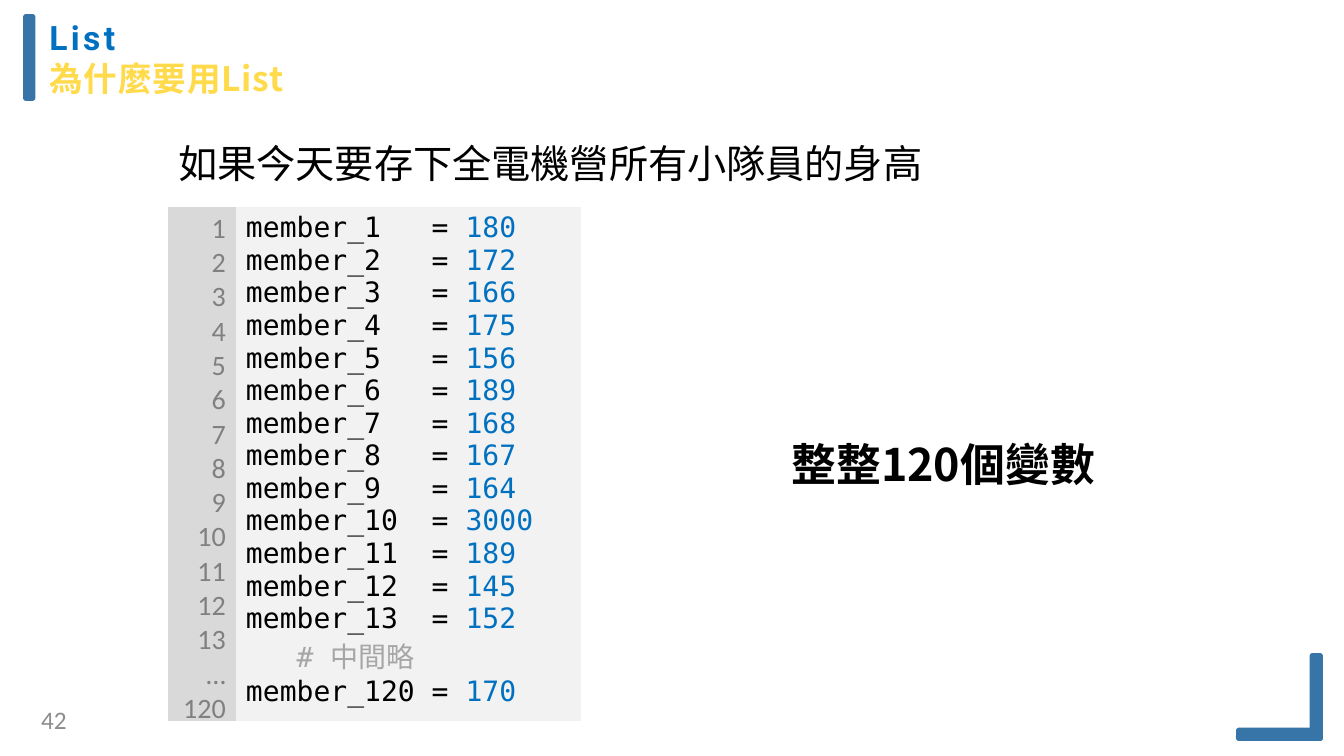
import pptx
import pptx.util
import pptx.dml.color
import pptx.enum.shapes
import pptx.enum.text
import pptx.oxml.ns
from dataclasses import dataclass
from lxml import etree

Inches = pptx.util.Inches
Pt = pptx.util.Pt
qn = pptx.oxml.ns.qn
Align = pptx.enum.text.PP_ALIGN

HEADING = "List"
SUBHEADING = "為什麼要用List"
QUESTION = "如果今天要存下全電機營所有小隊員的身高"
CONCLUSION = "整整120個變數"
PAGE_NUMBER = "42"
HEIGHTS = [180, 172, 166, 175, 156, 189, 168, 167, 164, 3000, 189, 145, 152]
LAST_MEMBER = (120, 170)
SKIPPED_NUMBER = "…"
SKIPPED_CODE = "   # 中間略"

TITLE_BOX = (0.48, 0.16, 4.52, 0.84)
QUESTION_BOX = (1.67, 1.33, 9.58, 0.57)
CONCLUSION_BOX = (7.75, 4.28, 3.58, 0.64)
PAGE_BOX = (0.08, 6.99, 0.58, 0.3)
TABLE_BOX = (1.67, 2.05, 4.09, 5.1)
COLUMN_WIDTHS = (0.67, 3.42)
BARS = [(0.25, 0.16, 0.08, 0.82), (13.01, 6.5, 0.09, 0.83), (12.28, 7.24, 0.82, 0.09)]


@dataclass(frozen=True)
class Theme:
    blue: str = "0070C0"
    yellow: str = "FFDA4A"
    bar: str = "3775A9"
    bar_line: str = "3774A7"
    black: str = "000000"
    page: str = "8C8C8C"
    number: str = "808080"
    remark: str = "A6A6A6"
    number_fill: str = "D9D9D9"
    code_fill: str = "F2F2F2"
    heading_font: str = "Roboto"
    chinese_font: str = "Noto Sans CJK SC"
    number_font: str = "Calibri"
    code_font: str = "DejaVu Sans Mono"
    heading_size: int = 24
    question_size: int = 28
    conclusion_size: int = 32
    page_size: int = 18
    code_size: int = 20


THEME = Theme()


def color(value):
    return pptx.dml.color.RGBColor.from_string(value)


def place(box):
    return [Inches(length) for length in box]


def add_run(paragraph, text, font, size, ink, bold=False, spacing=0):
    run = paragraph.add_run()
    run.text = text
    run.font.name = font
    run.font.size = Pt(size)
    run.font.bold = bold
    run.font.color.rgb = color(ink)
    properties = run._r.get_or_add_rPr()
    east_asian = THEME.chinese_font if font == THEME.code_font else font
    etree.SubElement(properties, qn("a:ea")).set("typeface", east_asian)
    if spacing:
        properties.set("spc", str(round(spacing * 100)))


def set_margins(holder, left, top, right, bottom):
    holder.margin_left, holder.margin_top = Inches(left), Inches(top)
    holder.margin_right, holder.margin_bottom = Inches(right), Inches(bottom)


def add_label(slide, box, margins, alignment, *run):
    frame = slide.shapes.add_textbox(*place(box)).text_frame
    frame.word_wrap = True
    set_margins(frame, *margins)
    frame.paragraphs[0].alignment = alignment
    add_run(frame.paragraphs[0], *run)


def add_title(slide):
    title = slide.shapes.title
    title.left, title.top, title.width, title.height = place(TITLE_BOX)
    frame = title.text_frame
    frame.word_wrap = True
    frame.auto_size = pptx.enum.text.MSO_AUTO_SIZE.NONE
    frame.vertical_anchor = pptx.enum.text.MSO_ANCHOR.TOP
    set_margins(frame, 0, 0.01, 0, 0)
    lines = [
        (HEADING, THEME.heading_font, THEME.blue, 2.4),
        (SUBHEADING, THEME.chinese_font, THEME.yellow, 0.6),
    ]
    for index, (text, font, ink, spacing) in enumerate(lines):
        paragraph = frame.add_paragraph() if index else frame.paragraphs[0]
        paragraph.alignment = Align.LEFT
        paragraph.space_before = Pt(0 if index else 1)
        paragraph._p.get_or_add_pPr().set("marL", str(Inches(0.01)))
        add_run(paragraph, text, font, THEME.heading_size, ink, True, spacing)


def add_bar(slide, box):
    shape_type = pptx.enum.shapes.MSO_SHAPE.ROUNDED_RECTANGLE
    bar = slide.shapes.add_shape(shape_type, *place(box))
    bar.adjustments[0] = 0.1
    bar.shadow.inherit = False
    bar.fill.solid()
    bar.fill.fore_color.rgb = color(THEME.bar)
    bar.line.color.rgb = color(THEME.bar_line)
    bar.line.width = Pt(3)


def member_runs(number, height):
    return [(f"{f'member_{number}':<10} = ", THEME.black), (str(height), THEME.blue)]


def fill_cell(cell, fill, lines, font, alignment):
    cell.fill.solid()
    cell.fill.fore_color.rgb = color(fill)
    set_margins(cell, 0.1, 0.05, 0.1, 0)
    frame = cell.text_frame
    for index, runs in enumerate(lines):
        paragraph = frame.add_paragraph() if index else frame.paragraphs[0]
        paragraph.alignment = alignment
        for text, ink in runs:
            add_run(paragraph, text, font, THEME.code_size, ink)


def add_code_table(slide):
    graphic = slide.shapes.add_table(1, 2, *place(TABLE_BOX))
    for style in graphic._element.iter(qn("a:tableStyleId")):
        style.text = "{2D5ABB26-0587-4C30-8999-92F81FD0307C}"
    table = graphic.table
    table.first_row = False
    table.horz_banding = False
    for column, width in zip(table.columns, COLUMN_WIDTHS):
        column.width = Inches(width)
    members = list(enumerate(HEIGHTS, 1))
    labels = [str(number) for number, _ in members]
    labels += [SKIPPED_NUMBER, str(LAST_MEMBER[0])]
    numbers = [[(label, THEME.number)] for label in labels]
    code = [member_runs(*member) for member in members]
    code += [[(SKIPPED_CODE, THEME.remark)], member_runs(*LAST_MEMBER)]
    fill_cell(table.cell(0, 0), THEME.number_fill, numbers, THEME.number_font, Align.RIGHT)
    fill_cell(table.cell(0, 1), THEME.code_fill, code, THEME.code_font, Align.LEFT)


def main():
    presentation = pptx.Presentation()
    presentation.slide_width = Inches(13.33)
    presentation.slide_height = Inches(7.5)
    slide = presentation.slides.add_slide(presentation.slide_layouts[5])
    add_title(slide)
    for box in BARS:
        add_bar(slide, box)
    add_label(slide, PAGE_BOX, (0, 0, 0, 0), Align.RIGHT,
              PAGE_NUMBER, THEME.number_font, THEME.page_size, THEME.page)
    text_margins = (0.1, 0.05, 0.1, 0.05)
    add_label(slide, QUESTION_BOX, text_margins, Align.LEFT,
              QUESTION, THEME.chinese_font, THEME.question_size, THEME.black)
    add_code_table(slide)
    add_label(slide, CONCLUSION_BOX, text_margins, Align.LEFT,
              CONCLUSION, THEME.chinese_font, THEME.conclusion_size, THEME.black, True)
    presentation.save("out.pptx")


if __name__ == "__main__":
    main()
